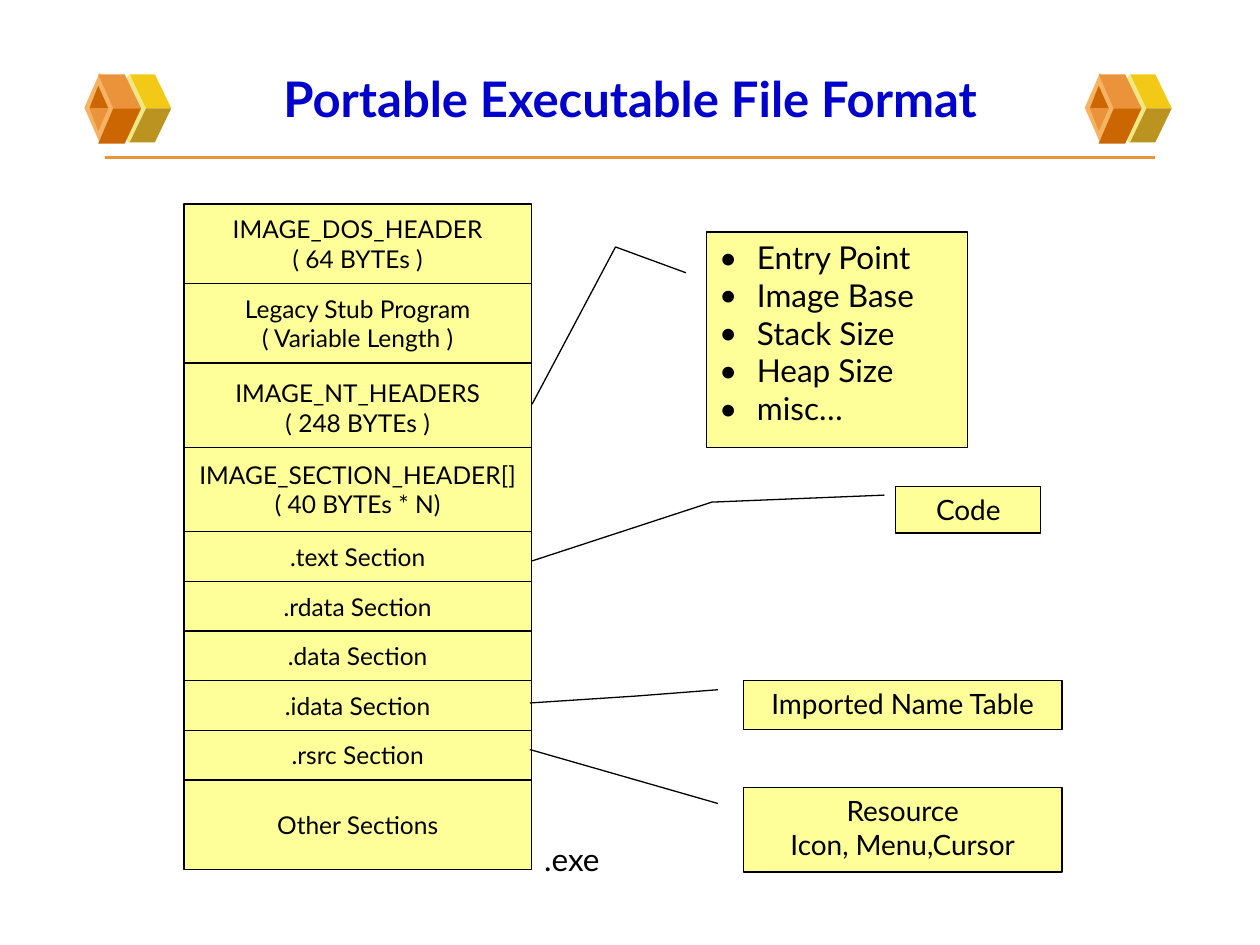
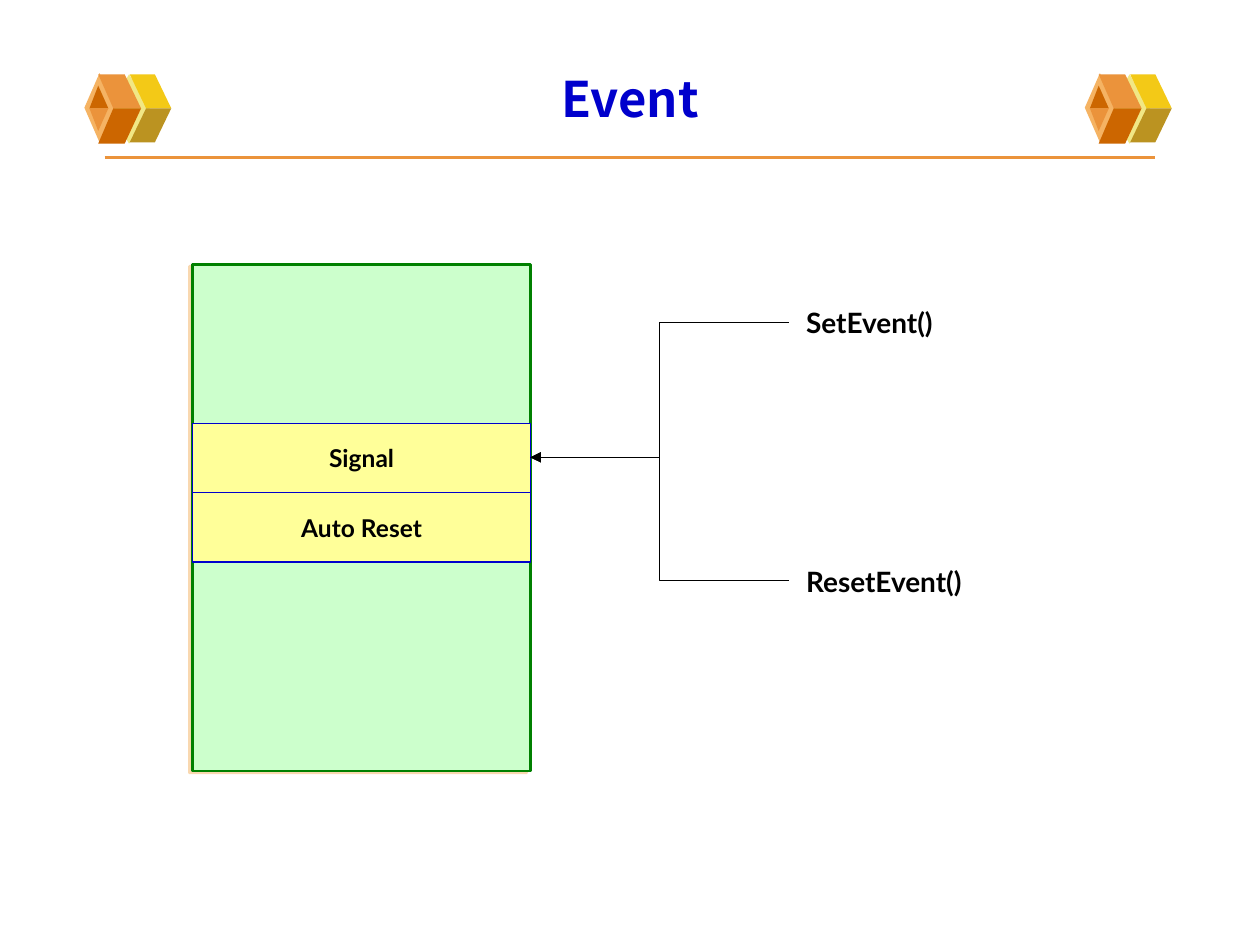
"""Build two slides: the portable executable layout and the event object."""
from dataclasses import dataclass

from pptx import Presentation
from pptx.dml.color import RGBColor
from pptx.enum.shapes import MSO_CONNECTOR, MSO_SHAPE
from pptx.enum.text import MSO_ANCHOR, MSO_AUTO_SIZE, PP_ALIGN
from pptx.oxml.xmlchemy import OxmlElement
from pptx.shapes.autoshape import Shape
from pptx.shapes.connector import Connector
from pptx.slide import Slide
from pptx.text.text import TextFrame
from pptx.util import Inches, Pt

RECTANGLE = MSO_SHAPE.RECTANGLE
DIAMOND = MSO_SHAPE.DIAMOND
CALLOUT_STRAIGHT = MSO_SHAPE.LINE_CALLOUT_1
CALLOUT_BENT = MSO_SHAPE.LINE_CALLOUT_2
STRAIGHT, ELBOW = MSO_CONNECTOR.STRAIGHT, MSO_CONNECTOR.ELBOW
LEFT, CENTER = PP_ALIGN.LEFT, PP_ALIGN.CENTER
TOP, MIDDLE = MSO_ANCHOR.TOP, MSO_ANCHOR.MIDDLE
GROW, FIXED = MSO_AUTO_SIZE.SHAPE_TO_FIT_TEXT, MSO_AUTO_SIZE.NONE

FONT = "Lato"
TITLE_FONT_EVENT = "Noto Sans CJK KR"
BLACK, BLUE, YELLOW = "000000", "0000CC", "FFFF99"
GREEN, PALE_GREEN = "008000", "CCFFCC"
ORANGE, DARK_ORANGE, LIGHT_ORANGE = "EB933B", "CC6600", "F5B363"
GOLD, DARK_GOLD, PALE_GOLD = "F3C917", "BB9321", "F1E785"

CUBE_SHIFTS = (0, 7.94)


@dataclass(frozen=True)
class Facet:
    """A coloured face of the cube ornament, as corner points in inches."""
    color: str
    corners: tuple[tuple[float, float], ...]


@dataclass(frozen=True)
class Section:
    """A row of the file layout; overlap extends it under the next row."""
    text: str
    height: float
    overlap: float = 0


@dataclass(frozen=True)
class Callout:
    """A labelled box with a leader line given by its adjustments."""
    text: str
    box: tuple[float, float, float, float]
    leader: tuple[float, ...]
    size: int = 16
    bulleted: bool = False


@dataclass(frozen=True)
class EventCall:
    """A function label and the height of its arrow."""
    text: str
    width: float
    top: float
    arrow_y: float


GOLD_FACETS = (
    Facet(GOLD, ((1.16, 0.86), (1.36, 0.86), (1.23, 0.59), (1.03, 0.59))),
    Facet(DARK_GOLD, ((1.16, 0.86), (1.36, 0.86), (1.23, 1.13), (1.03, 1.13))),
)
ORANGE_FACETS = (
    Facet(ORANGE, ((0.9, 0.86), (1.12, 0.86), (0.99, 0.59), (0.78, 0.59))),
    Facet(DARK_ORANGE, ((0.9, 0.86), (1.12, 0.86), (0.99, 1.14), (0.78, 1.14))),
    Facet(DARK_ORANGE, ((0.78, 0.68), (0.71, 0.86), (0.86, 0.86))),
    Facet(ORANGE, ((0.78, 1.04), (0.71, 0.86), (0.86, 0.86))),
)

SMALL_ROW = (6.19 - 4.22) / 5
SECTIONS = (
    Section("IMAGE_DOS_HEADER\n( 64 BYTEs )", 0.63),
    Section("Legacy Stub Program\n( Variable Length )", 0.63),
    Section("IMAGE_NT_HEADERS\n( 248 BYTEs )", 0.67, overlap=0.04),
    Section("IMAGE_SECTION_HEADER[]\n( 40 BYTEs * N)", 0.67),
    *(Section(f".{name} Section", SMALL_ROW)
      for name in ("text", "rdata", "data", "idata", "rsrc")),
    Section("Other Sections", 0.71),
)
CALLOUTS = (
    Callout("Entry Point\nImage Base\nStack Size\nHeap Size\nmisc…",
            (5.61, 1.84, 2.07, 1.71), (0.19, -0.08, 0.07, -0.35, 0.8, -0.67),
            size=18, bulleted=True),
    Callout("Resource\nIcon, Menu,Cursor", (5.9, 6.25, 2.53, 0.67),
            (0.19, -0.08, -0.45, -0.67)),
    Callout("Code", (7.11, 3.86, 1.15, 0.37),
            (0.19, -0.08, 0.34, -1.27, 1.6, -2.51)),
    Callout("Imported Name Table", (5.9, 5.4, 2.53, 0.39),
            (0.19, -0.08, 0.32, -0.34, 0.46, -0.67)),
)
EVENT_CALLS = (
    EventCall("SetEvent()", 1.32, 2.38, 2.56),
    EventCall("ResetEvent()", 1.59, 4.43, 4.61),
)


def rgb(color: str) -> RGBColor:
    """Turn a hex string into a colour."""
    return RGBColor.from_string(color)


def write(frame: TextFrame, text: str, *, size: int, color: str = BLACK,
          font: str = FONT, bold: bool = False, align: PP_ALIGN = CENTER,
          anchor: MSO_ANCHOR = MIDDLE, wrap: bool = False,
          bulleted: bool = False) -> None:
    """Fill a text frame with one paragraph for each line of text."""
    frame.word_wrap = wrap
    frame.vertical_anchor = anchor
    for index, line in enumerate(text.split("\n")):
        para = frame.add_paragraph() if index else frame.paragraphs[0]
        para.alignment = align
        if bulleted:
            properties = para._p.get_or_add_pPr()
            properties.set("marL", str(Inches(0.3)))
            properties.set("indent", str(-Inches(0.3)))
            for tag, key, value in (("a:buFont", "typeface", font),
                                    ("a:buChar", "char", "•")):
                bullet = OxmlElement(tag)
                bullet.set(key, value)
                properties.append(bullet)
        span = para.add_run()
        span.text = line
        span.font.name = font
        span.font.size = Pt(size)
        span.font.bold = bold
        span.font.color.rgb = rgb(color)


def paint(shape: Shape, fill: str, line: str | None = None,
          width: float = 0.75) -> None:
    """Give a shape a flat fill, and an outline when a line colour is set."""
    shape.shadow.inherit = False
    shape.fill.solid()
    shape.fill.fore_color.rgb = rgb(fill)
    if line is None:
        shape.line.fill.background()
    else:
        shape.line.color.rgb = rgb(line)
        shape.line.width = Pt(width)


def add_box(page: Slide, kind: MSO_SHAPE, left: float, top: float,
            width: float, height: float, fill: str,
            line: str | None = None, line_width: float = 0.75) -> Shape:
    """Add a preset shape at a place in inches."""
    box = page.shapes.add_shape(kind, Inches(left), Inches(top),
                                Inches(width), Inches(height))
    paint(box, fill, line, line_width)
    return box


def add_label(page: Slide, text: str, left: float, top: float, width: float,
              height: float, size: int, bold: bool = False) -> None:
    """Add a free-standing label."""
    box = page.shapes.add_textbox(Inches(left), Inches(top),
                                  Inches(width), Inches(height))
    write(box.text_frame, text, size=size, bold=bold, align=LEFT, anchor=TOP)
    box.text_frame.auto_size = GROW


def add_line(page: Slide, kind: MSO_CONNECTOR, start: tuple[float, float],
             end: tuple[float, float], color: str, width: float) -> Connector:
    """Add a connector without a shadow."""
    line = page.shapes.add_connector(kind, *map(Inches, start + end))
    line.line.color.rgb = rgb(color)
    line.line.width = Pt(width)
    line._element.spPr.append(OxmlElement("a:effectLst"))
    return line


def add_arrowhead(line: Connector) -> None:
    """Put a triangle at the end of a connector."""
    head = OxmlElement("a:tailEnd")
    head.set("type", "triangle")
    line.line._get_or_add_ln().append(head)


def add_offset_shadow(shape: Shape, color: str) -> None:
    """Add a half-transparent hard shadow to the lower left."""
    shadow = OxmlElement("a:outerShdw")
    shadow.set("dist", str(Pt(2.2)))
    shadow.set("dir", str(154 * 60000))
    tint = OxmlElement("a:srgbClr")
    tint.set("val", color)
    alpha = OxmlElement("a:alpha")
    alpha.set("val", "50000")
    tint.append(alpha)
    shadow.append(tint)
    shape._element.spPr.find(OxmlElement("a:effectLst").tag).append(shadow)


def add_facets(page: Slide, facets: tuple[Facet, ...], shift: float) -> None:
    """Draw faces of a cube, moved right by a shift."""
    for facet in facets:
        points = [(Inches(x + shift), Inches(y)) for x, y in facet.corners]
        builder = page.shapes.build_freeform(*points[0])
        builder.add_line_segments(points[1:], close=True)
        paint(builder.convert_to_shape(), facet.color)


def add_page(deck: Presentation, title: str, font: str = FONT) -> Slide:
    """Add a slide with the shared title, rule and cube ornaments."""
    page = deck.slides.add_slide(deck.slide_layouts[5])
    heading = page.shapes.title
    heading.left, heading.top = Inches(0.5), Inches(0.3)
    heading.width, heading.height = Inches(9), Inches(0.95)
    write(heading.text_frame, title, size=28, color=BLUE, font=font,
          bold=True, wrap=True)
    heading.text_frame.auto_size = FIXED
    add_line(page, STRAIGHT, (0.83, 1.25), (9.17, 1.25), ORANGE, 2.25)
    for shift in CUBE_SHIFTS:
        add_box(page, DIAMOND, 0.86 + shift, 0.59, 0.33, 0.55, PALE_GOLD)
        add_facets(page, GOLD_FACETS, shift)
        add_box(page, DIAMOND, 0.67 + shift, 0.58, 0.24, 0.55, LIGHT_ORANGE)
        add_facets(page, ORANGE_FACETS, shift)
    return page


def build_file_format(deck: Presentation) -> None:
    """Build the slide of file sections and their callouts."""
    page = add_page(deck, "Portable Executable File Format")
    top = 1.62
    for section in SECTIONS:
        box = add_box(page, RECTANGLE, 1.46, top, 2.76,
                      section.height + section.overlap, YELLOW, BLACK)
        write(box.text_frame, section.text, size=14)
        top += section.height
    for callout in CALLOUTS:
        kind = CALLOUT_BENT if len(callout.leader) == 6 else CALLOUT_STRAIGHT
        box = add_box(page, kind, *callout.box, YELLOW, BLACK)
        for index, value in enumerate(callout.leader):
            box.adjustments[index] = value
        write(box.text_frame, callout.text, size=callout.size, anchor=TOP,
              align=LEFT if callout.bulleted else CENTER, wrap=True,
              bulleted=callout.bulleted)
    add_label(page, ".exe", 4.22, 6.62, 0.68, 0.4, size=18)


def build_event(deck: Presentation) -> None:
    """Build the slide of the event object and its two calls."""
    page = add_page(deck, "Event", font=TITLE_FONT_EVENT)
    event = add_box(page, RECTANGLE, 1.53, 2.1, 2.68, 4.02,
                    PALE_GREEN, GREEN, 1.5)
    add_offset_shadow(event, LIGHT_ORANGE)
    for index, text in enumerate(("Signal", "Auto Reset")):
        field = add_box(page, RECTANGLE, 1.53, 3.36 + index * 0.55,
                        2.68, 0.55, YELLOW, BLUE)
        write(field.text_frame, text, size=14, bold=True)
    for call in EVENT_CALLS:
        add_label(page, call.text, 6.3, call.top, call.width, 0.37,
                  size=16, bold=True)
        add_arrowhead(add_line(page, ELBOW, (6.26, call.arrow_y),
                               (4.21, 3.63), BLACK, 0.75))


def main() -> None:
    """Build and save the deck."""
    deck = Presentation()
    deck.slide_width, deck.slide_height = Inches(10), Inches(7.5)
    build_file_format(deck)
    build_event(deck)
    deck.save("out.pptx")


if __name__ == "__main__":
    main()
